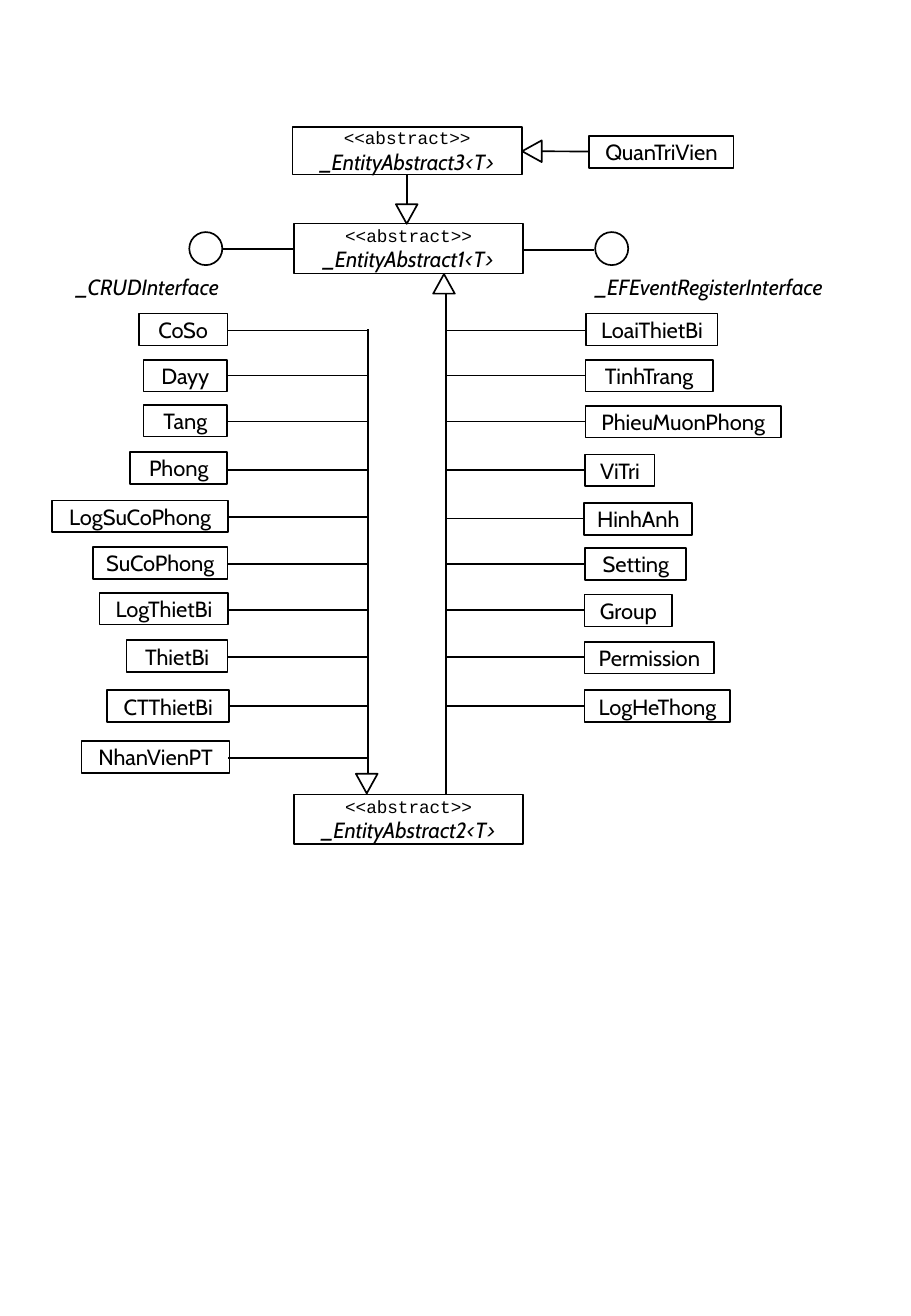
from dataclasses import dataclass

from lxml import etree
from pptx import Presentation
from pptx.dml.color import RGBColor
from pptx.enum.shapes import MSO_CONNECTOR as Connector, MSO_SHAPE as Shape
from pptx.enum.text import MSO_ANCHOR as Anchor, PP_ALIGN as Align
from pptx.oxml.ns import qn
from pptx.util import Pt

BLACK = RGBColor(0x00, 0x00, 0x00)
WHITE = RGBColor(0xFF, 0xFF, 0xFF)
ENTITY_HEIGHT = 18.9
LEFT_TRUNK, RIGHT_TRUNK = 218, 264.2
LEFT_BRANCH_END, RIGHT_BRANCH_END = 135.4, 346.5


@dataclass(frozen=True)
class TextLine:
    text: str
    size: float = 13
    font: str = "Cabin"
    italic: bool = False


@dataclass(frozen=True)
class Entity:
    name: str
    left: float
    top: float
    width: float
    branch: float  # height at which its branch meets the trunk


@dataclass(frozen=True)
class Abstract:
    name: str
    left: float
    top: float
    height: float


@dataclass(frozen=True)
class Interface:
    name: str
    circle_left: float
    label_left: float
    label_width: float


@dataclass(frozen=True)
class Arrowhead:
    left: float
    top: float
    rotation: float


LEFT_ENTITIES = [
    Entity("CoSo", 82.3, 185.8, 52.6, 195.8),
    Entity("Dayy", 85, 213.1, 49.7, 222.5),
    Entity("Tang", 85, 239.8, 49.7, 249.8),
    Entity("Phong", 77.2, 267.8, 57.6, 278.5),
    Entity("LogSuCoPhong", 30.8, 296.5, 104.4, 306.5),
    Entity("SuCoPhong", 55, 324, 79.9, 334.1),
    Entity("LogThietBi", 59, 351.2, 76.3, 361.4),
    Entity("ThietBi", 75.1, 379.4, 59.8, 389.3),
    Entity("CTThietBi", 63.4, 409, 72.5, 418.4),
    Entity("NhanVienPT", 48.3, 439.2, 87.8, 449),
]
RIGHT_ENTITIES = [
    Entity("LoaiThietBi", 347.5, 185.8, 77.8, 195.8),
    Entity("TinhTrang", 347, 213.1, 75.6, 222.5),
    Entity("PhieuMuonPhong", 347, 240.4, 115.9, 249.8),
    Entity("ViTri", 347, 269.2, 41, 278.5),
    Entity("HinhAnh", 346.3, 298, 64.1, 307.3),
    Entity("Setting", 347, 324.6, 59.8, 334.1),
    Entity("Group", 346.5, 352.3, 51.8, 361.4),
    Entity("Permission", 346.5, 380.2, 76.8, 389.3),
    Entity("LogHeThong", 346.5, 409, 86.4, 418.4),
]
ADMIN_ENTITY = Entity("QuanTriVien", 349.2, 80.5, 85.7, 89.8)
ABSTRACTS = [
    Abstract("_EntityAbstract3<T>", 173.4, 75.1, 28.4),
    Abstract("_EntityAbstract1<T>", 174.2, 132.5, 29.5),
    Abstract("_EntityAbstract2<T>", 174.2, 470.7, 29.5),
]
INTERFACES = [
    Interface("_CRUDInterface", 112.2, 31.7, 111.6),
    Interface("_EFEventRegisterInterface", 352.8, 336.2, 168.5),
]
ARROWHEADS = [
    Arrowhead(308.9, 83.8, 270),
    Arrowhead(234.7, 121, 180),
    Arrowhead(256.8, 162.4, 0),
    Arrowhead(211, 458.5, 180),
]


def add_outline(slide, kind: Shape, left: float, top: float, width: float,
                height: float, lines: tuple[TextLine, ...] = (), border: bool = True):
    shape = slide.shapes.add_shape(kind, Pt(left), Pt(top), Pt(width), Pt(height))
    shape.shadow.inherit = False
    shape.fill.solid()
    shape.fill.fore_color.rgb = WHITE
    if border:
        shape.line.color.rgb = BLACK
        shape.line.width = Pt(1)
    else:
        shape.line.fill.background()
    frame = shape.text_frame
    frame.word_wrap = False
    frame.vertical_anchor = Anchor.MIDDLE
    frame.margin_left = frame.margin_right = frame.margin_top = frame.margin_bottom = 0
    for index, line in enumerate(lines):
        paragraph = frame.add_paragraph() if index else frame.paragraphs[0]
        paragraph.alignment = Align.CENTER
        run = paragraph.add_run()
        run.text = line.text
        run.font.name = line.font
        run.font.size = Pt(line.size)
        run.font.italic = line.italic
        run.font.color.rgb = BLACK
    return shape


def add_line(slide, x1: float, y1: float, x2: float, y2: float) -> None:
    line = slide.shapes.add_connector(Connector.STRAIGHT, Pt(x1), Pt(y1), Pt(x2), Pt(y2))
    line.line.color.rgb = BLACK
    line.line.width = Pt(1)
    etree.SubElement(line._element.spPr, qn("a:effectLst"))


def add_entity(slide, entity: Entity) -> None:
    add_outline(slide, Shape.RECTANGLE, entity.left, entity.top, entity.width,
                ENTITY_HEIGHT, (TextLine(entity.name),))


def add_abstract(slide, abstract: Abstract) -> None:
    lines = (TextLine("<<abstract>>", 10.5, "Courier New"),
             TextLine(abstract.name, italic=True))
    add_outline(slide, Shape.RECTANGLE, abstract.left, abstract.top, 136,
                abstract.height, lines)


def add_interface(slide, interface: Interface) -> None:
    add_outline(slide, Shape.RECTANGLE, interface.label_left, 159.4, interface.label_width,
                20.9, (TextLine(interface.name, italic=True),), border=False)
    add_outline(slide, Shape.OVAL, interface.circle_left, 137.5, 19.6, 19.6)


def add_arrowhead(slide, arrowhead: Arrowhead) -> None:
    shape = add_outline(slide, Shape.ISOSCELES_TRIANGLE, arrowhead.left, arrowhead.top,
                        12.8, 11.6)
    shape.rotation = arrowhead.rotation


def main() -> None:
    presentation = Presentation()
    presentation.slide_width = Pt(540)
    presentation.slide_height = Pt(779.76)
    slide = presentation.slides.add_slide(presentation.slide_layouts[6])

    # Classes and interfaces
    for interface in INTERFACES:
        add_interface(slide, interface)
    for abstract in ABSTRACTS:
        add_abstract(slide, abstract)
    for entity in [*LEFT_ENTITIES, *RIGHT_ENTITIES, ADMIN_ENTITY]:
        add_entity(slide, entity)

    # Links between the top classes and the interfaces
    add_line(slide, 131.8, 147.4, 174.2, 147.4)
    add_line(slide, 310, 148.1, 352.1, 148.1)
    add_line(slide, 310, 89.6, ADMIN_ENTITY.left, ADMIN_ENTITY.branch)
    add_line(slide, 241.2, 103.5, 241.2, 121)

    # Trunks with one branch per entity
    add_line(slide, LEFT_TRUNK, 195.2, LEFT_TRUNK, 461.5)
    add_line(slide, RIGHT_TRUNK, 166.3, RIGHT_TRUNK, 470.5)
    for entity in LEFT_ENTITIES:
        add_line(slide, LEFT_BRANCH_END, entity.branch, LEFT_TRUNK, entity.branch)
    for entity in RIGHT_ENTITIES:
        add_line(slide, RIGHT_TRUNK, entity.branch, RIGHT_BRANCH_END, entity.branch)

    # Inheritance arrowheads
    for arrowhead in ARROWHEADS:
        add_arrowhead(slide, arrowhead)

    presentation.save("out.pptx")


if __name__ == "__main__":
    main()
